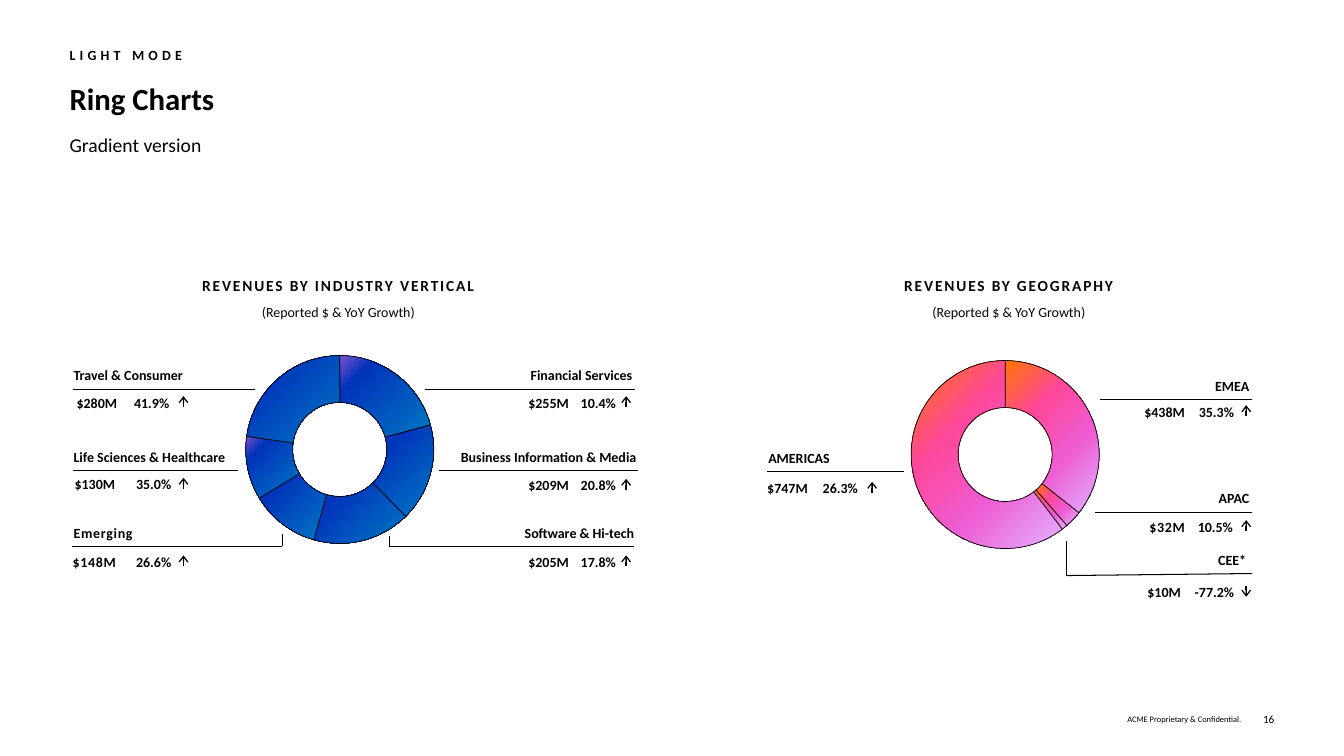
from itertools import pairwise

from lxml.etree import SubElement
from pptx import Presentation
from pptx.chart.data import CategoryChartData
from pptx.dml.color import RGBColor
from pptx.enum.chart import XL_CHART_TYPE
from pptx.enum.shapes import MSO_CONNECTOR
from pptx.enum.text import MSO_ANCHOR, PP_ALIGN
from pptx.oxml import parse_xml
from pptx.oxml.ns import nsdecls, qn
from pptx.util import Inches, Pt

FONT = "Calibri"
BLACK = "000000"
LEFT, CENTER, RIGHT = PP_ALIGN.LEFT, PP_ALIGN.CENTER, PP_ALIGN.RIGHT
LABEL_W, VALUE_W, ROW_H = 1.8, 0.46, 0.18

BLUES = [(0, "8353D2"), (22, "0134BB"), (100, "0078C2")]
PINKS = [(0, "FF7701"), (32, "FF4799"), (64, "EE5CD3"), (99, "E2B0FF")]

# ring box left and top, values, gradient stops
RINGS = [
    (2.31, 3.4, (21, 17, 17, 12, 11, 23), BLUES),
    (8.91, 3.45, (36, 3, 1, 61), PINKS),
]

# label, align, label edge, values top, (amount, x), (growth, x), arrow x, rule points
CALLOUTS = [
    ("Travel & Consumer", LEFT, 0.73, 3.91, ("$280M", 0.76), ("41.9%", 1.33), 1.82,
     [(0.72, 3.86), (2.53, 3.86)]),
    ("Life Sciences & Healthcare", LEFT, 0.73, 4.72, ("$130M", 0.74), ("35.0%", 1.35), 1.82,
     [(0.72, 4.67), (2.36, 4.67)]),
    ("Emerging", LEFT, 0.73, 5.49, ("$148M", 0.72), ("26.6%", 1.35), 1.82,
     [(0.71, 5.42), (2.8, 5.42), (2.8, 5.3)]),
    ("Financial Services", RIGHT, 6.27, 3.91, ("$255M", 5.24), ("10.4%", 5.76), 6.21,
     [(6.3, 3.86), (4.22, 3.86)]),
    ("Business Information & Media", RIGHT, 6.31, 4.73, ("$209M", 5.24), ("20.8%", 5.76), 6.21,
     [(6.33, 4.67), (4.35, 4.67)]),
    ("Software & Hi-tech", RIGHT, 6.29, 5.49, ("$205M", 5.24), ("17.8%", 5.76), 6.21,
     [(6.29, 5.42), (3.86, 5.42), (3.86, 5.32)]),
    ("AMERICAS", LEFT, 7.62, 4.76, ("$747M", 7.61), ("26.3%", 8.16), 8.65,
     [(7.61, 4.68), (8.97, 4.68)]),
    ("EMEA", RIGHT, 12.39, 4.0, ("$438M", 11.35), ("35.3%", 11.89), 12.36,
     [(12.42, 3.96), (10.91, 3.96)]),
    ("APAC", RIGHT, 12.39, 5.14, ("$32M", 11.4), ("10.5%", 11.88), 12.36,
     [(12.42, 5.08), (10.86, 5.08)]),
    ("CEE*", RIGHT, 12.36, 5.79, ("$10M", 11.38), ("-77.2%", 11.85), 12.36,
     [(12.42, 5.69), (10.58, 5.71), (10.58, 5.37)]),
]
SPACED = {"Emerging", "$148M", "$32M"}


def rgb(color):
    return RGBColor.from_string(color)


def style_run(r, size, color=BLACK, bold=False, spacing=0):
    for name, value in {"name": FONT, "size": Pt(size), "bold": bold}.items():
        setattr(r.font, name, value)
    r.font.color.rgb = rgb(color)
    if spacing:
        r._r.get_or_add_rPr().set("spc", str(round(spacing * 100)))


def fill_frame(tf, lines, align=LEFT, anchor=MSO_ANCHOR.TOP, inset=(0, 0), leading=None):
    """Write lines, each a text with its run format, into a text frame."""
    dx, dy = (Inches(v) for v in inset)
    frame = {"margin_left": dx, "margin_right": dx, "margin_top": dy, "margin_bottom": dy,
             "word_wrap": True, "vertical_anchor": anchor}
    for name, value in frame.items():
        setattr(tf, name, value)
    for i, (text, fmt) in enumerate(lines):
        p = tf.add_paragraph() if i else tf.paragraphs[0]
        p.alignment = align
        if leading:
            p.line_spacing = leading
        r = p.add_run()
        r.text = text
        style_run(r, **fmt)


def add_text(s, box, text, align=LEFT, anchor=MSO_ANCHOR.TOP, **fmt):
    tf = s.shapes.add_textbox(*map(Inches, box)).text_frame
    fill_frame(tf, [(text, fmt)], align, anchor)


def add_heading(s, left, text):
    tf = s.shapes.add_textbox(*map(Inches, (left, 2.6, 4.01, 0.61))).text_frame
    lines = [(text, {"size": 11, "color": "060606", "bold": True, "spacing": 1.3}),
             ("(Reported $ & YoY Growth)", {"size": 10, "color": "060606"})]
    fill_frame(tf, lines, CENTER, inset=(0.1, 0.05), leading=1.5)


def add_line(s, start, end, width=0.75, arrow=False):
    """Draw a line; an arrow points at its start."""
    line = s.shapes.add_connector(MSO_CONNECTOR.STRAIGHT, *map(Inches, (*start, *end)))
    line.line.color.rgb = rgb(BLACK)
    line.line.width = Pt(width)
    if arrow:
        SubElement(line.line._get_or_add_ln(), qn("a:headEnd"), type="arrow", w="med", len="sm")
    SubElement(line._element.spPr, qn("a:effectLst"))


def add_ring(s, left, top, values, stops):
    data = CategoryChartData()
    data.categories = [str(i + 1) for i in range(len(values))]
    data.add_series("Series 1", values)
    box = map(Inches, (left, top, 2.12, 2.12))
    chart = s.shapes.add_chart(XL_CHART_TYPE.DOUGHNUT, *box, data).chart
    chart.has_legend = chart.has_title = False
    chart.font.name, chart.font.size = FONT, Pt(10)
    chart.font.color.rgb = rgb(BLACK)
    plot = chart.plots[0]
    plot.vary_by_categories = False
    for i in range(len(values)):
        fmt = plot.series[0].points[i].format
        fmt.fill.gradient()
        fmt.fill.gradient_angle = 315
        fmt.line.color.rgb = rgb(BLACK)
        fmt.line.width = Pt(0.5)

    root = chart._chartSpace
    for gs_list in root.iter(qn("a:gsLst")):
        for gs in list(gs_list):
            gs_list.remove(gs)
        for pos, color in stops:
            gs = SubElement(gs_list, qn("a:gs"), pos=str(pos * 1000))
            SubElement(gs, qn("a:srgbClr"), val=color)
    for hole in root.iter(qn("c:holeSize")):
        hole.set("val", "66")
    area = next(root.iter(qn("c:plotArea")))
    for layout in area.findall(qn("c:layout")):
        area.remove(layout)
    parts = '<c:layoutTarget val="inner"/><c:xMode val="edge"/><c:yMode val="edge"/>'
    sizes = {"x": 0.06, "y": 0.06, "w": 0.88, "h": 0.88}
    parts += "".join(f'<c:{name} val="{value}"/>' for name, value in sizes.items())
    area.insert(0, parse_xml(
        f'<c:layout {nsdecls("c")}><c:manualLayout>{parts}</c:manualLayout></c:layout>'))


def add_callout(s, label, align, edge, row, amount, growth, arrow_x, rule):
    label_left = edge if align == LEFT else edge - LABEL_W
    label_top = rule[0][1] - 0.22
    texts = [(label, label_left, label_top, LABEL_W, align),
             (*amount, row, VALUE_W, LEFT), (*growth, row, VALUE_W, LEFT)]
    for text, x, y, width, side in texts:
        add_text(s, (x, y, width, ROW_H), text, side, size=10, bold=True,
                 spacing=0.5 if text in SPACED else 0)
    for start, end in pairwise(rule):
        add_line(s, start, end)
    ends = [(arrow_x, row + 0.02), (arrow_x, row + 0.13)]
    if growth[0].startswith("-"):
        ends.reverse()
    add_line(s, *ends, width=1, arrow=True)


def main():
    prs = Presentation()
    prs.slide_width, prs.slide_height = Inches(13.33), Inches(7.5)
    s = prs.slides.add_slide(prs.slide_layouts[5])

    title = s.shapes.title
    title.left, title.top, title.width, title.height = map(Inches, (0.69, 0.79, 11.95, 0.37))
    fill_frame(title.text_frame, [("Ring Charts", {"size": 22, "bold": True})])
    add_text(s, (0.69, 0.46, 3.97, 0.25), "LIGHT MODE", size=10, bold=True, spacing=3)
    add_text(s, (0.69, 1.32, 11.95, 0.53), "Gradient version", size=14)

    add_heading(s, 1.35, "REVENUES BY INDUSTRY VERTICAL")
    add_heading(s, 8, "REVENUES BY GEOGRAPHY")
    for ring in RINGS:
        add_ring(s, *ring)
    for callout in CALLOUTS:
        add_callout(s, *callout)

    footer = {"align": RIGHT, "anchor": MSO_ANCHOR.MIDDLE, "color": "010000"}
    add_text(s, (10.43, 7.01, 1.88, 0.24), "ACME Proprietary & Confidential.", size=6, **footer)
    add_text(s, (12.37, 7.01, 0.27, 0.24), "16", size=8, **footer)
    prs.save("out.pptx")


if __name__ == "__main__":
    main()
